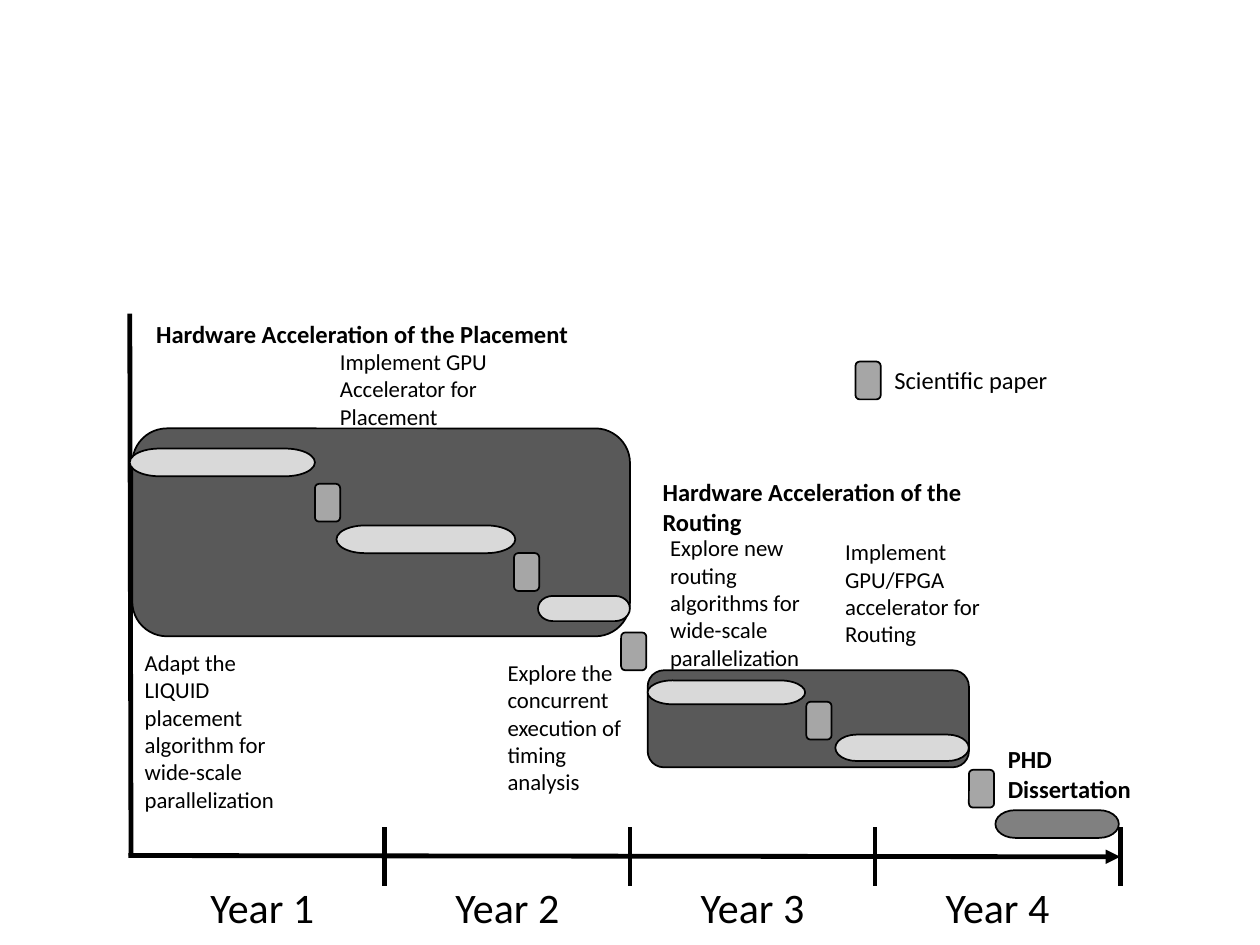
from lxml import etree
from pptx import Presentation
from pptx.dml.color import RGBColor
from pptx.enum.shapes import MSO_CONNECTOR, MSO_SHAPE
from pptx.enum.text import MSO_AUTO_SIZE, PP_ALIGN
from pptx.oxml.ns import qn
from pptx.util import Inches, Pt

LINE = MSO_CONNECTOR.STRAIGHT
ROUND = MSO_SHAPE.ROUNDED_RECTANGLE
PILL = MSO_SHAPE.FLOWCHART_TERMINATOR
FIT = MSO_AUTO_SIZE.NONE
LEFT, CENTER = PP_ALIGN.LEFT, PP_ALIGN.CENTER

BLACK, DARK, MID, PAPER, LIGHT = "000000", "595959", "808080", "A6A6A6", "D9D9D9"
FONT = "Calibri"

# The slide is a grid of 100 columns by 75 rows; all boxes are in cells.
COLS, ROWS = 100, 75
deck = Presentation()
deck.slide_width, deck.slide_height = Inches(10), Inches(7.5)
COL, ROW = deck.slide_width / COLS, deck.slide_height / ROWS
slide = deck.slides.add_slide(deck.slide_layouts[6])


def color(code):
    """Turn a hex string into a colour."""
    return RGBColor.from_string(code)


def place(x, y, wide, high):
    """Turn grid cells into slide lengths."""
    return round(x * COL), round(y * ROW), round(wide * COL), round(high * ROW)


def block(kind, box, fill):
    """Draw a filled shape with a thin black outline."""
    shape = slide.shapes.add_shape(kind, *place(*box))
    shape.shadow.inherit = False
    shape.fill.solid()
    shape.fill.fore_color.rgb = color(fill)
    shape.line.color.rgb = color(BLACK)
    shape.line.width = Pt(1)


def label(text, box, size=13, bold=False, align=LEFT):
    """Write wrapped text in a box."""
    frame = slide.shapes.add_textbox(*place(*box)).text_frame
    frame.word_wrap = True
    frame.auto_size = FIT
    frame.text = text
    para = frame.paragraphs[0]
    para.alignment = align
    font = para.runs[0].font
    font.name, font.size, font.bold = FONT, Pt(size), bold
    font.color.rgb = color(BLACK)


def rule(x1, y1, x2, y2, arrow=False):
    """Draw a thick black line, with an arrowhead if asked."""
    line = slide.shapes.add_connector(LINE, *place(x1, y1, x2, y2))
    line.line.color.rgb = color(BLACK)
    line.line.width = Pt(2.75)
    if arrow:
        etree.SubElement(line.line._get_or_add_ln(), qn("a:tailEnd"), type="triangle")
    etree.SubElement(line._element.spPr, qn("a:effectLst"))


def axis(box, years=4, step=19.45, tick=4.7):
    """Draw the time axis, its year marks and year names."""
    left, top, wide, high = box
    right, base = left + wide, top + high
    rule(left - 0.1, base, right, base + 0.1, arrow=True)
    rule(left + 0.1, base, left, top)
    start = right - years * step
    for year in range(years):
        x = start + year * step
        rule(x + step, base + 2.4, x + step, base + 2.4 - tick)
        label(f"Year {year + 1}", (x, base + 1.6, step, 5), 24, align=CENTER)


def phase(box, bars):
    """Draw a work package and the task bars inside it."""
    block(ROUND, box, DARK)
    left, top = box[:2]
    for x, y, wide, high in bars:
        block(PILL, (left + x, top + y, wide, high), LIGHT)


def papers(spots):
    """Draw a paper marker at each spot."""
    for x, y in spots:
        block(ROUND, (x, y, 2, 3), PAPER)


def legend(x, y):
    """Explain the paper marker."""
    papers([(x, y)])
    label("Scientific paper", (x + 2.1, y - 0.2, 23.6, 3.4), 14)


def thesis(x, y):
    """Draw the closing dissertation bar with its heading."""
    label("PHD Dissertation", (x, y, 13.4, 5.7), 14, True)
    block(PILL, (x, y + 5.7, 9.8, 2.2), MID)


axis((10.3, 24.9, 78.6, 43))
phase((10.5, 34, 39.5, 16.5),
      [(-0.2, 1.6, 14.7, 2.2), (16.2, 7.7, 14.2, 2.2), (32.2, 13.3, 7.3, 2)])
phase((51.4, 53.2, 25.5, 7.7), [(0, 0.8, 12.5, 1.9), (14.9, 5.1, 10.6, 2.1)])
papers([(25, 38.4), (40.8, 43.9), (49.3, 50.2), (64, 55.7), (76.9, 61.1)])
legend(67.9, 28.7)
thesis(79, 58.6)

for text, box in [
    ("Hardware Acceleration of the Placement", (11.4, 24.8, 38.5, 3.4)),
    ("Hardware Acceleration of the Routing", (51.6, 37.4, 28.1, 5.7)),
]:
    label(text, box, 14, True)

for text, box in [
    ("Adapt the LIQUID placement algorithm for wide-scale parallelization",
     (10.5, 51, 12.6, 14.1)),
    ("Implement GPU Accelerator for Placement", (26, 27.1, 16.7, 7.6)),
    ("Explore the concurrent execution of timing analysis",
     (39.3, 51.8, 11.9, 11.9)),
    ("Explore new routing algorithms for wide-scale parallelization",
     (52.2, 41.9, 13.4, 11.9)),
    ("Implement GPU/FPGA accelerator for Routing", (66.1, 42.2, 13.6, 9.8)),
]:
    label(text, box)

deck.save("out.pptx")
